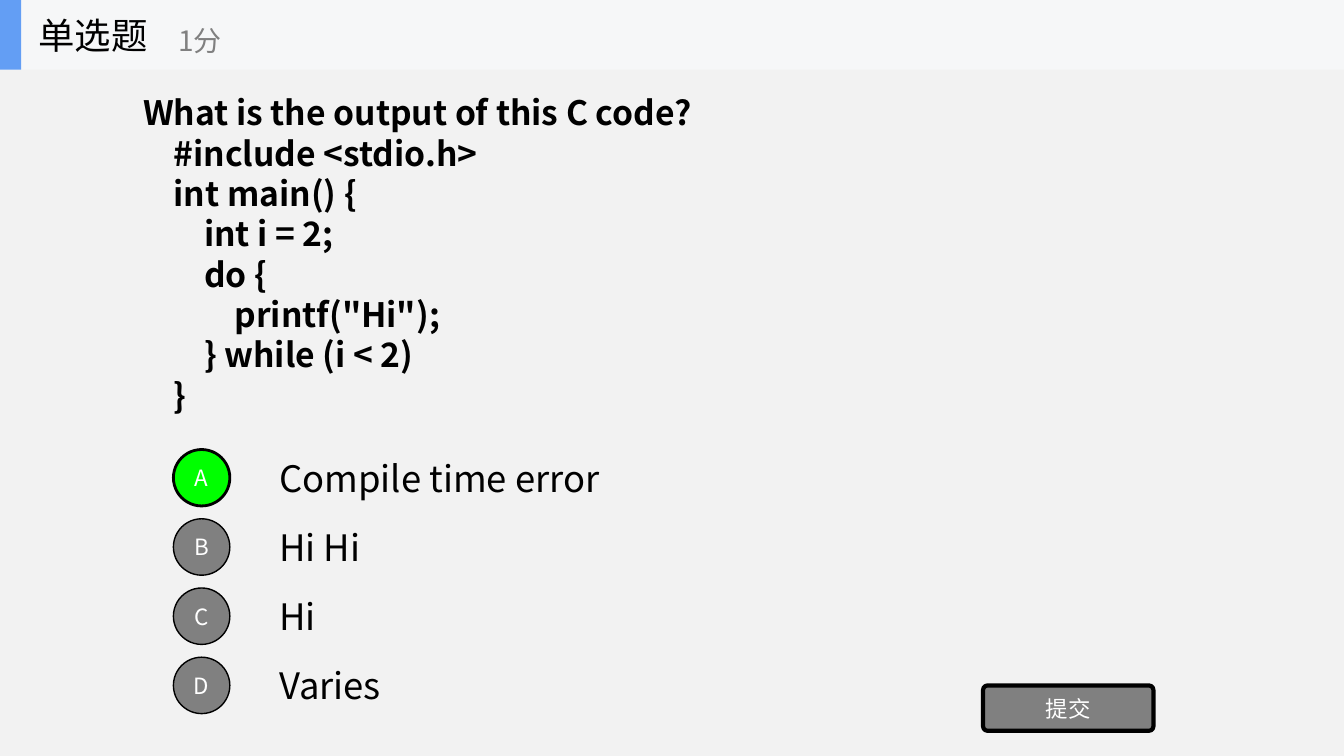
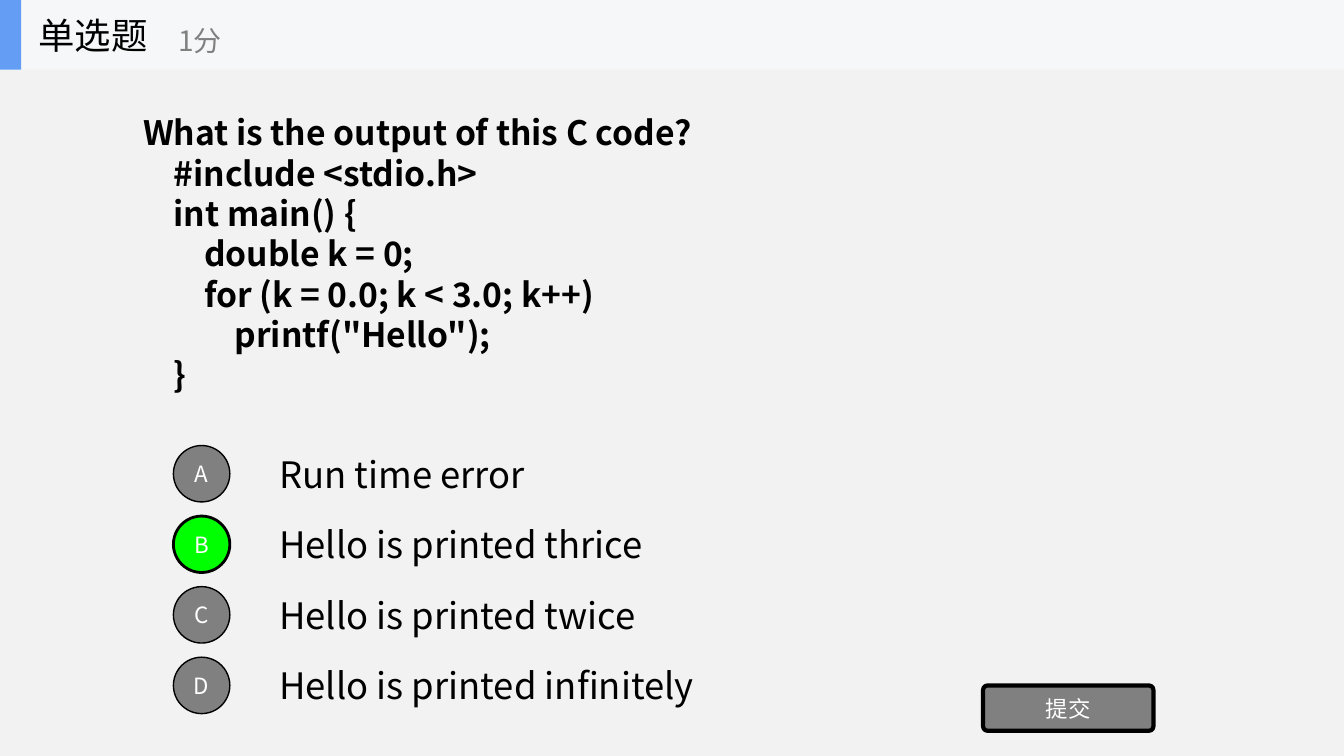
from lxml import etree
from pptx import Presentation
from pptx.dml.color import RGBColor
from pptx.enum.shapes import MSO_SHAPE
from pptx.enum.text import MSO_ANCHOR, MSO_AUTO_SIZE, PP_ALIGN
from pptx.oxml.ns import qn
from pptx.util import Inches, Pt

RECT, OVAL, ROUNDED = MSO_SHAPE.RECTANGLE, MSO_SHAPE.OVAL, MSO_SHAPE.ROUNDED_RECTANGLE
LEFT, CENTER = PP_ALIGN.LEFT, PP_ALIGN.CENTER
MIDDLE, NO_AUTOFIT = MSO_ANCHOR.MIDDLE, MSO_AUTO_SIZE.NONE

HEADING, POINTS, SUBMIT = "单选题", "1分", "提交"
QUESTION = "What is the output of this C code?"
QUIZ = [
    {
        "code": """    #include <stdio.h>
    int main() {
        int i = 2;
        do {
            printf("Hi");
        } while (i < 2)
    }""",
        "options": ["Compile time error", "Hi Hi", "Hi", "Varies"],
        "answer": "A",
        "question_top": 0.85,
        "first_option_top": 4.46,
    },
    {
        "code": """    #include <stdio.h>
    int main() {
        double k = 0;
        for (k = 0.0; k < 3.0; k++)
            printf("Hello");
    }""",
        "options": ["Run time error", "Hello is printed thrice",
                    "Hello is printed twice", "Hello is printed infinitely"],
        "answer": "B",
        "question_top": 1.05,
        "first_option_top": 4.42,
    },
]

FONT = "Noto Sans CJK SC"
COLORS = {"page": "F2F2F2", "band": "F6F7F8", "accent": "639EF4", "text": "000000",
          "muted": "808080", "correct": "00FF00", "on_fill": "FFFFFF"}
SLIDE_W, SLIDE_H, BAND_H = 13.33, 7.5, 0.69
CODE_PITCH = 28.8
LAST_OPTION_TOP, BADGE_SIZE = 6.52, 0.56


def color(name):
    return RGBColor.from_string(COLORS[name])


def place(shape, left, top, width, height):
    shape.left, shape.top = Inches(left), Inches(top)
    shape.width, shape.height = Inches(width), Inches(height)


def write(shape, text, size, ink="text", bold=False, align=LEFT, pitch=None):
    """Fill a shape with one paragraph per line of text, centred vertically."""
    frame = shape.text_frame
    frame.word_wrap, frame.auto_size, frame.vertical_anchor = True, NO_AUTOFIT, MIDDLE
    for index, line in enumerate(text.split("\n")):
        paragraph = frame.add_paragraph() if index else frame.paragraphs[0]
        paragraph.alignment = align
        if pitch:
            paragraph.line_spacing = Pt(pitch)
        run = paragraph.add_run()
        run.text = line
        run.font.size, run.font.bold, run.font.name = Pt(size), bold, FONT
        run.font.color.rgb = color(ink)
        etree.SubElement(run._r.get_or_add_rPr(), qn("a:ea"), typeface=FONT)


def add_text(slide, box, text, size, **text_format):
    write(slide.shapes.add_textbox(*map(Inches, box)), text, size, **text_format)


def add_filled(slide, kind, box, fill, outline=0):
    shape = slide.shapes.add_shape(kind, *map(Inches, box))
    shape.shadow.inherit = False
    shape.fill.solid()
    shape.fill.fore_color.rgb = color(fill)
    if outline:
        shape.line.color.rgb = color("text")
        shape.line.width = Pt(outline)
    else:
        shape.line.fill.background()
    return shape


def add_label(slide, kind, box, fill, outline, text):
    shape = add_filled(slide, kind, box, fill, outline)
    frame = shape.text_frame
    frame.margin_left = frame.margin_right = frame.margin_top = frame.margin_bottom = 0
    write(shape, text, 16, ink="on_fill", align=CENTER)
    return shape


def style_layout(layout, slide):
    """Give the layout its background and header band, drawn on slide and moved over."""
    layout.background.fill.solid()
    layout.background.fill.fore_color.rgb = color("page")
    for position, (width, fill) in enumerate([(SLIDE_W, "band"), (0.21, "accent")], 2):
        band = add_filled(slide, RECT, (0, 0, width, BAND_H), fill)
        layout.shapes.element.insert(position, band.element)


def add_options(slide, quiz):
    first = quiz["first_option_top"]
    step = (LAST_OPTION_TOP - first) / (len(quiz["options"]) - 1)
    for index, (letter, option) in enumerate(zip("ABCD", quiz["options"])):
        top = first + index * step
        fill, outline = ("correct", 2) if letter == quiz["answer"] else ("muted", 1)
        add_text(slide, (2.67, top, 4.6, BADGE_SIZE), option, 26)
        add_label(slide, OVAL, (1.72, top, BADGE_SIZE, BADGE_SIZE), fill, outline, letter)


def fill_slide(slide, quiz):
    title = slide.shapes.title
    place(title, 0.28, 0, 1.6, BAND_H)
    write(title, HEADING, 26)
    add_text(slide, (1.67, 0.12, 2.5, 0.56), POINTS, 20, ink="muted")

    text = QUESTION + "\n" + quiz["code"]
    height = 0.13 + 0.4 * len(text.split("\n"))
    add_text(slide, (1.32, quiz["question_top"], 7.78, height), text, 24,
             bold=True, pitch=CODE_PITCH)
    add_options(slide, quiz)
    button = add_label(slide, ROUNDED, (9.75, 6.8, 1.69, 0.45), "muted", 3, SUBMIT)
    button.adjustments[0] = 0.1


def main():
    deck = Presentation()
    deck.slide_width, deck.slide_height = Inches(SLIDE_W), Inches(SLIDE_H)
    layout = deck.slide_layouts.get_by_name("Title Only")
    slides = [deck.slides.add_slide(layout) for _ in QUIZ]
    style_layout(layout, slides[0])
    for slide, quiz in zip(slides, QUIZ):
        fill_slide(slide, quiz)
    deck.save("out.pptx")


if __name__ == "__main__":
    main()
